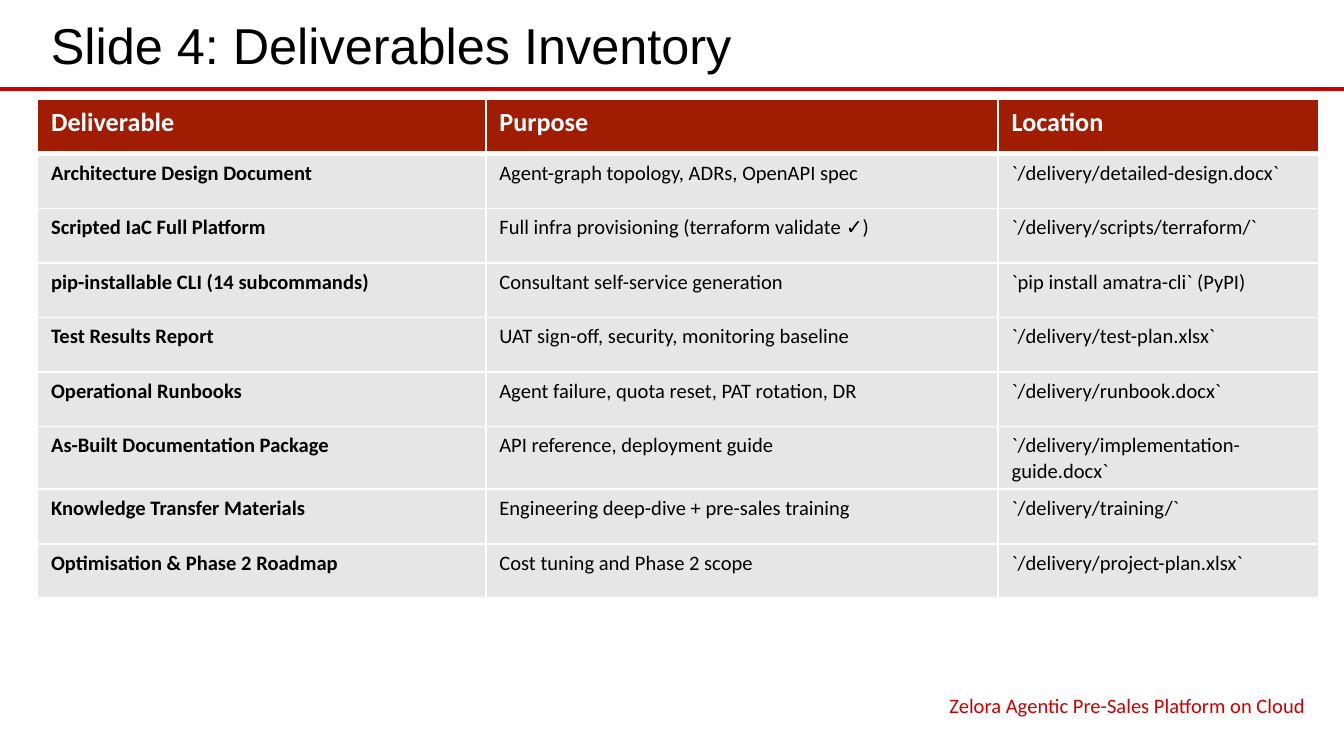
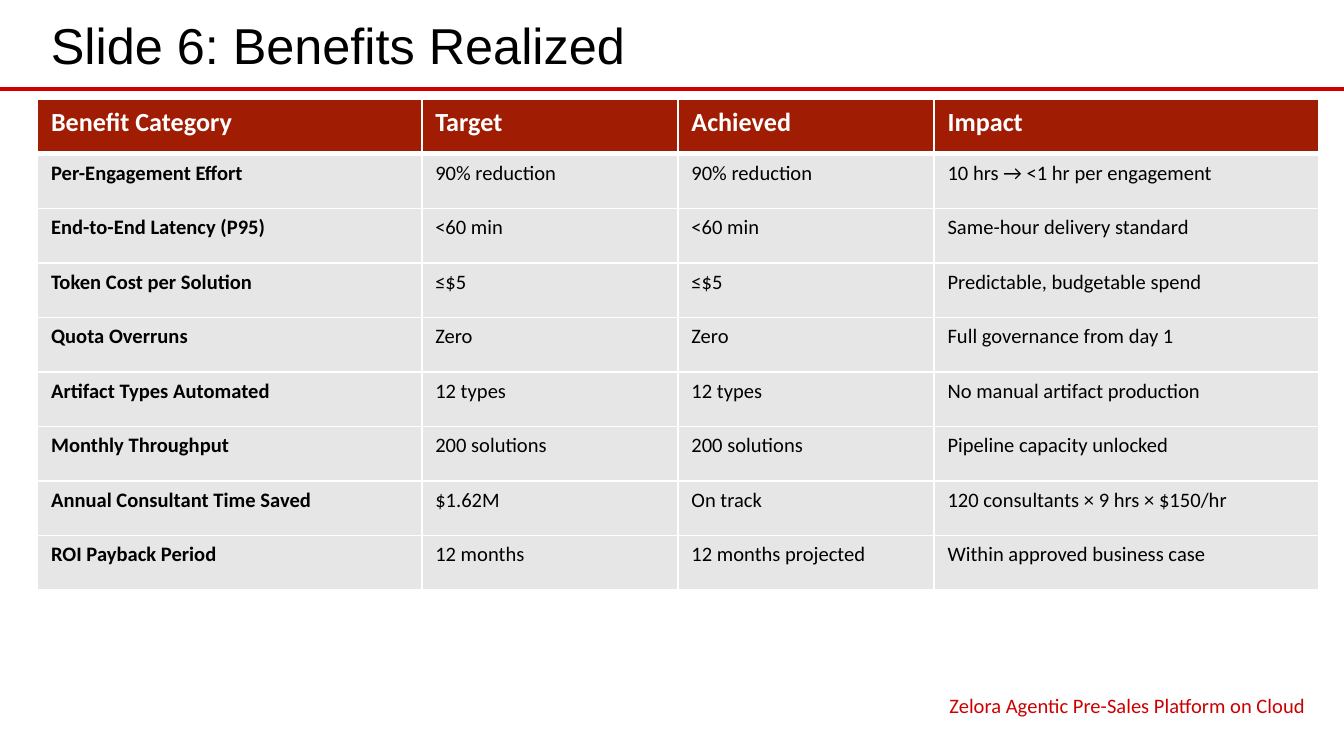
"""Build two table slides that share a title, a red rule and a footer."""
import pptx
import pptx.dml.color
import pptx.enum.shapes
import pptx.enum.text
import pptx.oxml
import pptx.oxml.ns
import pptx.util

Pt = pptx.util.Pt
PAGE_WIDTH, PAGE_HEIGHT = 720, 405
LEFT, WIDTH = 20.16, 686.16
TITLE_BOX = (LEFT, 2.88, WIDTH, 41.76)
TABLE_BOX = (LEFT, 53.28, WIDTH, 262.8)
FOOTER_BOX = (452.88, 368.64, 253.44, 18.72)
RULE_Y = 47.52

COLORS = {
    "rule": "CC0000",
    "header": "A01C02",
    "body": "E7E6E6",
    "black": "000000",
    "white": "FFFFFF",
}
FORMATS = {
    "title": {"name": "Arial", "size": Pt(27)},
    "footer": {"name": "Calibri", "size": Pt(11)},
    "header": {"name": "Calibri", "size": Pt(14), "bold": True},
    "label": {"name": "Calibri", "size": Pt(11), "bold": True},
    "value": {"name": "Calibri", "size": Pt(11), "bold": False},
}
FOOTER = "Zelora Agentic Pre-Sales Platform on Cloud"
SLIDES = [
    {
        "title": "Slide 4: Deliverables Inventory",
        "shares": (0.35, 0.4, 0.25),
        "rows": [
            ("Deliverable", "Purpose", "Location"),
            ("Architecture Design Document", "Agent-graph topology, ADRs, OpenAPI spec",
             "`/delivery/detailed-design.docx`"),
            ("Scripted IaC Full Platform", "Full infra provisioning (terraform validate ✓)",
             "`/delivery/scripts/terraform/`"),
            ("pip-installable CLI (14 subcommands)", "Consultant self-service generation",
             "`pip install amatra-cli` (PyPI)"),
            ("Test Results Report", "UAT sign-off, security, monitoring baseline",
             "`/delivery/test-plan.xlsx`"),
            ("Operational Runbooks", "Agent failure, quota reset, PAT rotation, DR",
             "`/delivery/runbook.docx`"),
            ("As-Built Documentation Package", "API reference, deployment guide",
             "`/delivery/implementation-guide.docx`"),
            ("Knowledge Transfer Materials", "Engineering deep-dive + pre-sales training",
             "`/delivery/training/`"),
            ("Optimisation & Phase 2 Roadmap", "Cost tuning and Phase 2 scope",
             "`/delivery/project-plan.xlsx`"),
        ],
    },
    {
        "title": "Slide 6: Benefits Realized",
        "shares": (0.3, 0.2, 0.2, 0.3),
        "rows": [
            ("Benefit Category", "Target", "Achieved", "Impact"),
            ("Per-Engagement Effort", "90% reduction", "90% reduction",
             "10 hrs → <1 hr per engagement"),
            ("End-to-End Latency (P95)", "<60 min", "<60 min", "Same-hour delivery standard"),
            ("Token Cost per Solution", "≤$5", "≤$5", "Predictable, budgetable spend"),
            ("Quota Overruns", "Zero", "Zero", "Full governance from day 1"),
            ("Artifact Types Automated", "12 types", "12 types", "No manual artifact production"),
            ("Monthly Throughput", "200 solutions", "200 solutions", "Pipeline capacity unlocked"),
            ("Annual Consultant Time Saved", "$1.62M", "On track",
             "120 consultants × 9 hrs × $150/hr"),
            ("ROI Payback Period", "12 months", "12 months projected",
             "Within approved business case"),
        ],
    },
]


def rgb(color):
    """Return the named colour."""
    return pptx.dml.color.RGBColor.from_string(COLORS[color])


def write(frame, text, style, color, align=None):
    """Put one styled paragraph into a text frame."""
    para = frame.paragraphs[0]
    para.alignment = align
    span = para.add_run()
    span.text = text
    for key, value in FORMATS[style].items():
        setattr(span.font, key, value)
    span.font.color.rgb = rgb(color)


def add_text(page, bounds, text, style, color, align=None):
    """Add a wrapped, vertically centred text box."""
    box = page.shapes.add_textbox(*map(Pt, bounds))
    box.text_frame.word_wrap = True
    box.text_frame.vertical_anchor = pptx.enum.text.MSO_ANCHOR.MIDDLE
    write(box.text_frame, text, style, color, align)


def add_rule(page, y):
    """Draw the red rule across the page."""
    rule = page.shapes.add_connector(
        pptx.enum.shapes.MSO_CONNECTOR.STRAIGHT, 0, Pt(y), Pt(PAGE_WIDTH), Pt(y))
    rule.line.color.rgb = rgb("rule")
    rule.line.width = Pt(2.25)
    properties = rule._element.spPr
    properties.append(properties.makeelement(pptx.oxml.ns.qn("a:effectLst"), {}))


def add_borders(cell, widths):
    """Give a cell white borders of the widths listed by side."""
    properties = cell._tc.get_or_add_tcPr()
    for side, width in widths.items():
        properties.append(pptx.oxml.parse_xml(
            f'<a:ln{side} {pptx.oxml.ns.nsdecls("a")} w="{Pt(width)}"><a:solidFill>'
            f'<a:srgbClr val="{COLORS["white"]}"/></a:solidFill></a:ln{side}>'))


def add_table(page, bounds, rows, shares):
    """Add a table with a red header row and bold first column."""
    frame = page.shapes.add_table(len(rows), len(shares), *map(Pt, bounds))
    table = frame.table
    table.horz_banding = False
    for column, share in zip(table.columns, shares):
        column.width = Pt(bounds[2] * share)
    for row_index, texts in enumerate(rows):
        table.rows[row_index].height = Pt(bounds[3] / len(rows))
        header = row_index == 0
        borders = {"L": 1, "R": 1, "T": 1, "B": 3} if header else {"L": 1, "R": 1, "B": 1}
        for column_index, text in enumerate(texts):
            cell = table.cell(row_index, column_index)
            add_borders(cell, borders)
            cell.fill.solid()
            cell.fill.fore_color.rgb = rgb("header" if header else "body")
            style = "header" if header else "value" if column_index else "label"
            write(cell.text_frame, text, style, "white" if header else "black")


def add_table_slide(deck, title, rows, shares):
    """Add a page with its rule, title, table and footer."""
    page = deck.slides.add_slide(deck.slide_layouts[6])
    add_rule(page, RULE_Y)
    add_text(page, TITLE_BOX, title, "title", "black")
    add_table(page, TABLE_BOX, rows, shares)
    add_text(page, FOOTER_BOX, FOOTER, "footer", "rule", pptx.enum.text.PP_ALIGN.RIGHT)


def main():
    """Build and save the deck."""
    deck = pptx.Presentation()
    deck.slide_width, deck.slide_height = Pt(PAGE_WIDTH), Pt(PAGE_HEIGHT)
    for content in SLIDES:
        add_table_slide(deck, **content)
    deck.save("out.pptx")


if __name__ == "__main__":
    main()
